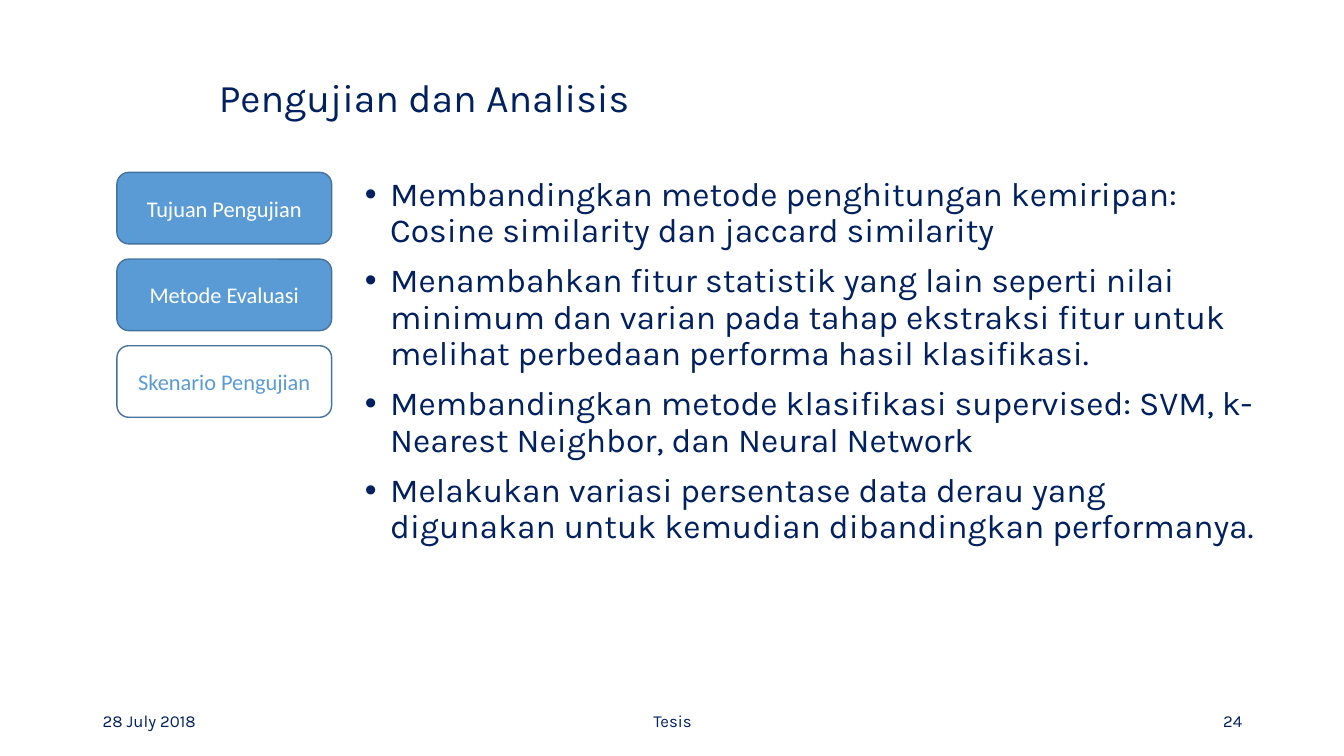
from dataclasses import dataclass

from lxml.etree import SubElement
from pptx import Presentation
from pptx.dml.color import RGBColor
from pptx.enum.shapes import MSO_SHAPE
from pptx.enum.text import MSO_ANCHOR, MSO_AUTO_SIZE, PP_ALIGN
from pptx.oxml.ns import qn
from pptx.util import Pt

PX = 9144


@dataclass(frozen=True)
class Theme:
    navy: RGBColor = RGBColor.from_string("002060")
    blue: RGBColor = RGBColor.from_string("5B9BD5")
    outline: RGBColor = RGBColor.from_string("43739E")
    white: RGBColor = RGBColor.from_string("FFFFFF")
    text_face: str = "Karla"
    step_face: str = "Calibri"
    title_size: int = 28
    body_size: int = 24
    step_size: int = 16
    footer_size: int = 12


THEME = Theme()

STEPS = ["Tujuan Pengujian", "Metode Evaluasi", "Skenario Pengujian"]
CURRENT_STEP = "Skenario Pengujian"
SCENARIOS = [
    "Membandingkan metode penghitungan kemiripan: Cosine similarity dan jaccard similarity",
    "Menambahkan fitur statistik yang lain seperti nilai minimum dan varian pada tahap "
    "ekstraksi fitur untuk melihat perbedaan performa hasil klasifikasi.",
    "Membandingkan metode klasifikasi supervised: SVM, k-Nearest Neighbor, dan Neural Network",
    "Melakukan variasi persentase data derau yang digunakan untuk kemudian dibandingkan performanya.",
]


def emu(*lengths):
    return [length * PX for length in lengths]


def set_all(target, values):
    for name, value in values.items():
        setattr(target, name, value)


def move(shape, box):
    set_all(shape, dict(zip(("left", "top", "width", "height"), emu(*box))))


def write(paragraph, text, size, color=THEME.navy, face=THEME.text_face, **layout):
    paragraph.text = text
    set_all(paragraph, layout)
    set_all(paragraph.font, {"size": Pt(size), "name": face})
    paragraph.font.color.rgb = color


def add_bullet(paragraph, indent):
    properties = paragraph._p.get_or_add_pPr()
    properties.set("marL", str(indent * PX))
    properties.set("indent", str(-indent * PX))
    SubElement(properties, qn("a:buFont")).set("typeface", "Arial")
    SubElement(properties, qn("a:buChar")).set("char", "•")


def place_title(slide, box):
    title = slide.shapes.title
    move(title, box)
    frame = title.text_frame
    set_all(frame, {"word_wrap": True, "auto_size": MSO_AUTO_SIZE.NONE,
                    "vertical_anchor": MSO_ANCHOR.MIDDLE})
    write(frame.paragraphs[0], "Pengujian dan Analisis", THEME.title_size,
          alignment=PP_ALIGN.LEFT, line_spacing=0.9)


def place_scenarios(slide, box):
    body = slide.placeholders[1]
    move(body, box)
    frame = body.text_frame
    set_all(frame, {"word_wrap": True, "auto_size": MSO_AUTO_SIZE.NONE,
                    "vertical_anchor": MSO_ANCHOR.TOP})
    for index, scenario in enumerate(SCENARIOS):
        paragraph = frame.add_paragraph() if index else frame.paragraphs[0]
        add_bullet(paragraph, 25)
        write(paragraph, scenario, THEME.body_size, line_spacing=0.9,
              space_before=Pt(10 if index else 0))


def place_steps(slide, box):
    left, top, width, height = box
    step_height = 71
    pitch = (height - step_height) // (len(STEPS) - 1)
    for index, label in enumerate(STEPS):
        fill, ink = THEME.blue, THEME.white
        if label == CURRENT_STEP:
            fill, ink = ink, fill
        step = slide.shapes.add_shape(
            MSO_SHAPE.ROUNDED_RECTANGLE,
            *emu(left, top + index * pitch, width, step_height))
        step.shadow.inherit = False
        step.fill.solid()
        step.fill.fore_color.rgb = fill
        step.line.color.rgb = THEME.outline
        step.line.width = Pt(1)
        set_all(step.text_frame, {"word_wrap": True, "vertical_anchor": MSO_ANCHOR.MIDDLE})
        write(step.text_frame.paragraphs[0], label, THEME.step_size, ink,
              THEME.step_face, alignment=PP_ALIGN.CENTER)


def place_footer(slide, box):
    left, top, width, height = box
    side, middle = 300, 450
    parts = [
        ("28 July 2018", 0, side, PP_ALIGN.LEFT),
        ("Tesis", (width - middle) // 2, middle, PP_ALIGN.CENTER),
        ("24", width - side, side, PP_ALIGN.RIGHT),
    ]
    for text, offset, part_width, alignment in parts:
        part = slide.shapes.add_textbox(*emu(left + offset, top, part_width, height))
        set_all(part.text_frame, {"word_wrap": True, "vertical_anchor": MSO_ANCHOR.MIDDLE})
        write(part.text_frame.paragraphs[0], text, THEME.footer_size, alignment=alignment)


def main():
    deck = Presentation()
    set_all(deck, dict(zip(("slide_width", "slide_height"), emu(1333, 750))))
    slide = deck.slides.add_slide(deck.slide_layouts[1])
    place_title(slide, (207, 53, 1200, 93))
    place_scenarios(slide, (352, 171, 915, 499))
    place_footer(slide, (92, 695, 1150, 40))
    place_steps(slide, (116, 171, 213, 243))
    deck.save("out.pptx")


if __name__ == "__main__":
    main()
